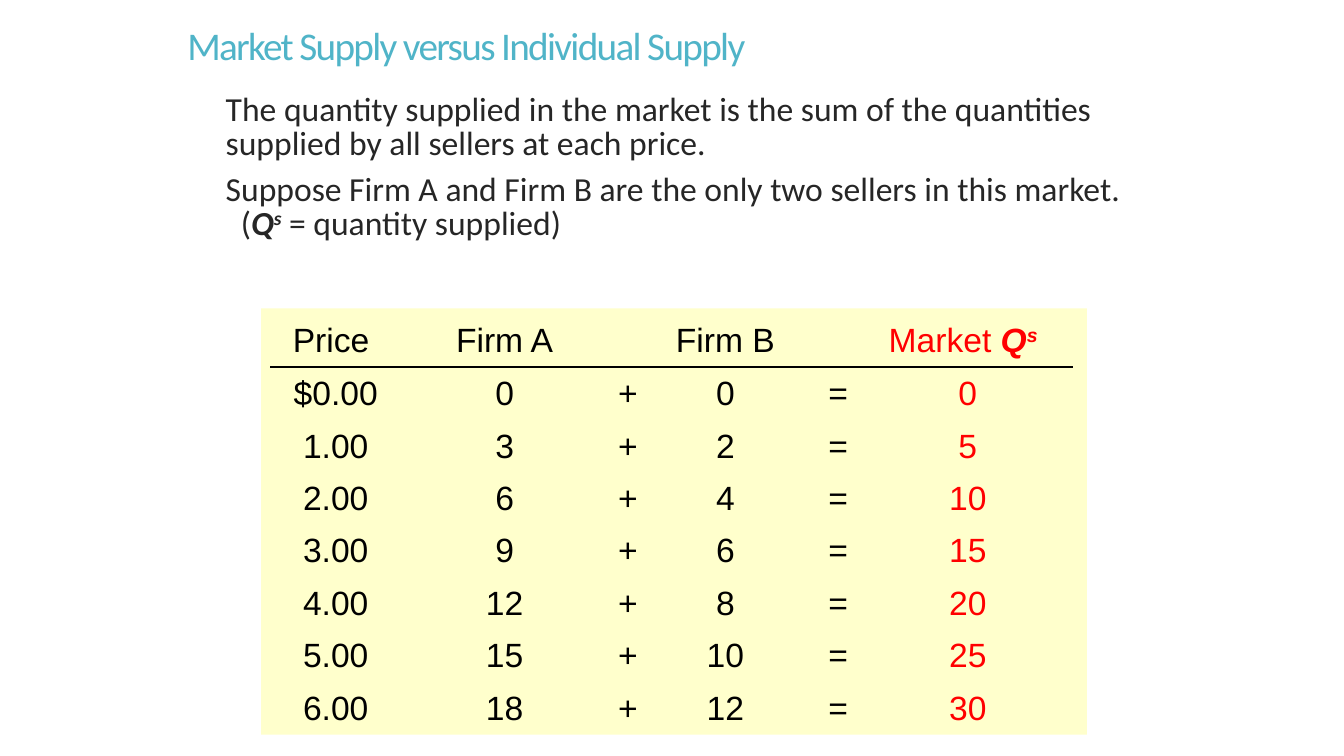
from pptx import Presentation
from pptx import util as u
from pptx.dml.color import RGBColor
from pptx.enum import shapes, text
from pptx.oxml.ns import qn
from lxml import etree

TEAL = RGBColor(0x50, 0xB4, 0xC8)
CHARCOAL = RGBColor(0x26, 0x26, 0x26)
BLACK = RGBColor(0, 0, 0)
RED = RGBColor(0xFF, 0, 0)
CREAM = RGBColor(0xFF, 0xFF, 0xCC)
NO_GRID_STYLE = "{2D5ABB26-0587-4C30-8999-92F81FD0307C}"

# Parts of a line are (wording, bold italic, superscript)
QUANTITY = [("Q", True, False), ("s", True, True)]


def plain(wording):
    return [(wording, False, False)]


class SupplySlide:
    heading_font = "Calibri"
    table_font = "Arial"

    def __init__(self, deck):
        self.slide = deck.slides.add_slide(deck.slide_layouts[6])

    def add_parts(self, paragraph, parts, font, size, color, tracking=None):
        """Fill a paragraph with parts that share a font, size and colour."""
        for wording, emphasis, superscript in parts:
            run = paragraph.add_run()
            run.text = wording
            run.font.name = font
            run.font.size = u.Pt(size)
            run.font.color.rgb = color
            run.font.bold = run.font.italic = emphasis
            properties = run.font._element
            if superscript:
                properties.set("baseline", "30000")
            if tracking:
                properties.set("spc", str(round(tracking * 100)))

    def text_box(self, left, top, width, height):
        frame = self.slide.shapes.add_textbox(
            u.Inches(left), u.Inches(top), u.Inches(width), u.Inches(height)).text_frame
        frame.word_wrap = True
        return frame

    def title(self, wording):
        paragraph = self.text_box(1.76, 0.23, 9.84, 0.64).paragraphs[0]
        paragraph.line_spacing = 0.85
        self.add_parts(paragraph, plain(wording), self.heading_font, 28, TEAL, -1.2)

    def body(self, lines):
        """Add lines given as (parts, indent in inches, points before)."""
        frame = self.text_box(2.04, 0.88, 9.32, 2.17)
        for number, (parts, indent, before) in enumerate(lines):
            paragraph = frame.add_paragraph() if number else frame.paragraphs[0]
            paragraph.line_spacing = 0.85
            paragraph.space_before = u.Pt(before)
            paragraph._p.get_or_add_pPr().set("marL", str(u.Inches(indent)))
            self.add_parts(paragraph, parts, self.heading_font, 24, CHARCOAL)

    def panel(self, left, top, width, height):
        panel = self.slide.shapes.add_shape(
            shapes.MSO_SHAPE.RECTANGLE,
            u.Inches(left), u.Inches(top), u.Inches(width), u.Inches(height))
        panel.shadow.inherit = False
        panel.fill.solid()
        panel.fill.fore_color.rgb = CREAM
        panel.line.fill.background()

    def rule(self, left, right, y):
        rule = self.slide.shapes.add_connector(
            shapes.MSO_CONNECTOR.STRAIGHT,
            u.Inches(left), u.Inches(y), u.Inches(right), u.Inches(y))
        rule.line.color.rgb = BLACK
        rule.line.width = u.Pt(1)
        etree.SubElement(rule._element.spPr, qn("a:effectLst"))

    def table(self, left, top, widths, heights, rows):
        table = self.slide.shapes.add_table(
            len(rows), len(widths), u.Inches(left), u.Inches(top),
            u.Inches(sum(widths)), u.Inches(sum(heights))).table
        table.first_row = table.horz_banding = False
        table._tbl.tblPr.find(qn("a:tableStyleId")).text = NO_GRID_STYLE
        for column, width in zip(table.columns, widths):
            column.width = u.Inches(width)
        for row, height, entries in zip(table.rows, heights, rows):
            row.height = u.Inches(height)
            for column, (cell, parts) in enumerate(zip(row.cells, entries)):
                cell.fill.background()
                cell.vertical_anchor = text.MSO_ANCHOR.MIDDLE
                if widths[column] < 0.3:
                    cell.margin_right = 0
                paragraph = cell.text_frame.paragraphs[0]
                paragraph.alignment = text.PP_ALIGN.CENTER
                paragraph.line_spacing = 1.05
                paragraph.font.size = u.Pt(24)
                color = RED if column == len(widths) - 1 else BLACK
                self.add_parts(paragraph, parts, self.table_font, 24, color)


def supply_rows():
    """Header, then each price with both firms' supply and their sum."""
    yield [plain("Price "), plain("Firm A"), [], plain("Firm B"), [],
           plain("Market ") + QUANTITY + plain(" ")]
    for price in range(7):
        firm_a, firm_b = 3 * price, 2 * price
        label = f"{price}.00" if price else "$0.00"
        yield [plain(str(entry)) for entry in
               (label, firm_a, "+", firm_b, "=", firm_a + firm_b)]


def main():
    deck = Presentation()
    deck.slide_width = u.Inches(13.33)
    deck.slide_height = u.Inches(7.5)

    page = SupplySlide(deck)
    page.panel(2.59, 3.06, 8.19, 4.23)
    page.rule(2.68, 10.64, 3.64)
    page.title("Market Supply versus Individual Supply")
    page.body([
        (plain("The quantity supplied in the market is the sum of the quantities "
               "supplied by all sellers at each price."), 0.1, 0),
        (plain("Suppose Firm A and Firm B are the only two sellers in this market."),
         0.1, 8.4),
        (plain("(") + QUANTITY + plain(" = quantity supplied)"), 0.25, 0),
    ])
    page.table(2.68, 3.1, [1.3, 2.05, 0.29, 1.75, 0.49, 2.08],
               [0.54] + [0.52] * 7, list(supply_rows()))
    deck.save("out.pptx")


if __name__ == "__main__":
    main()
